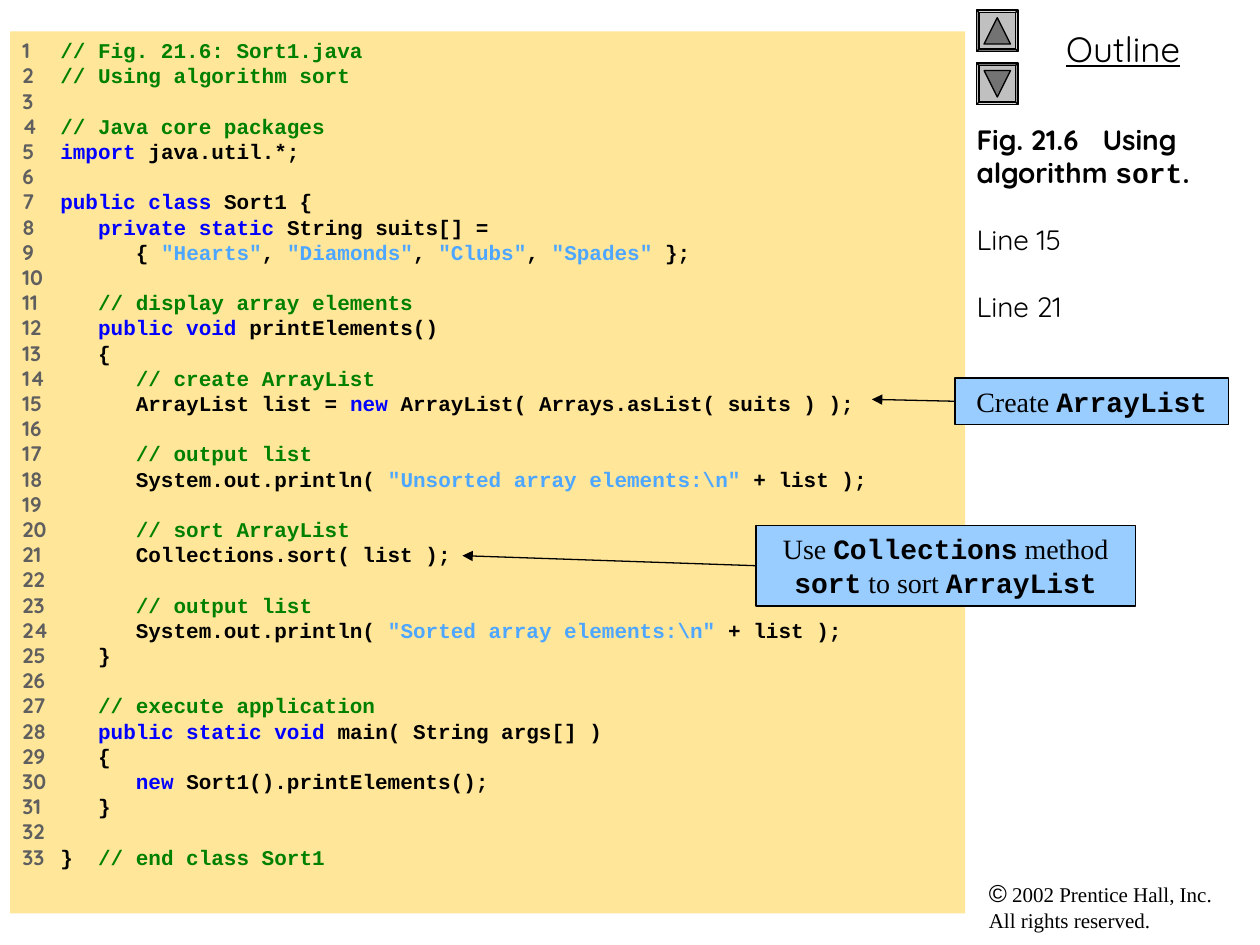
import itertools
from dataclasses import dataclass

import pptx
import pptx.dml.color
import pptx.enum.shapes
import pptx.enum.text
import pptx.oxml
import pptx.oxml.ns
import pptx.util
from pptx.util import Inches

SHAPES = pptx.enum.shapes.MSO_SHAPE
ALIGN = pptx.enum.text.PP_ALIGN


@dataclass(frozen=True)
class Theme:
    sans: str = "Quicksand"
    serif: str = "Times New Roman"
    mono: str = "Courier New"
    symbol: str = "Arial"
    ink: str = "000000"
    number: str = "5F5F5F"
    comment: str = "008000"
    keyword: str = "0000FF"
    string: str = "4DA6FF"
    code_panel: str = "FFE699"
    callout: str = "99CCFF"
    button: str = "C0C0C0"
    button_arrow: str = "737373"
    heading_size: float = 20
    body_size: float = 16
    code_size: float = 12
    small_size: float = 12
    symbol_size: float = 14
    line_width: float = 0.75


THEME = Theme()
KEYWORDS = {"import", "public", "private", "static", "void", "class", "new"}
SOURCE = r"""// Fig. 21.6: Sort1.java
// Using algorithm sort

// Java core packages
import java.util.*;

public class Sort1 {
   private static String suits[] =
      { "Hearts", "Diamonds", "Clubs", "Spades" };

   // display array elements
   public void printElements()
   {
      // create ArrayList
      ArrayList list = new ArrayList( Arrays.asList( suits ) );

      // output list
      System.out.println( "Unsorted array elements:\n" + list );

      // sort ArrayList
      Collections.sort( list );

      // output list
      System.out.println( "Sorted array elements:\n" + list );
   }

   // execute application
   public static void main( String args[] )
   {
      new Sort1().printElements();
   }

}  // end class Sort1"""


def rgb(value):
    return pptx.dml.color.RGBColor.from_string(value)


def add_run(paragraph, text, face, size, color=THEME.ink, **styles):
    run = paragraph.add_run()
    run.text = text
    run.font.color.rgb = rgb(color)
    formats = {"name": face, "size": pptx.util.Pt(size), **styles}
    for attribute, value in formats.items():
        setattr(run.font, attribute, value)


def add_tab_stop(paragraph, position):
    properties = paragraph._p.get_or_add_pPr()
    stops = pptx.oxml.parse_xml(f"<a:tabLst {pptx.oxml.ns.nsdecls('a')}/>")
    stop = stops.makeelement(pptx.oxml.ns.qn("a:tab"), {"pos": str(position), "algn": "l"})
    stops.append(stop)
    properties.append(stops)


def prepare_frame(shape, left_inset=0.1):
    frame = shape.text_frame
    formats = {
        "word_wrap": True,
        "margin_left": Inches(left_inset),
        "margin_right": Inches(0.1),
        "margin_top": Inches(0.05),
        "margin_bottom": Inches(0.05),
        "vertical_anchor": pptx.enum.text.MSO_ANCHOR.TOP,
    }
    for attribute, value in formats.items():
        setattr(frame, attribute, value)
    return frame


def add_text(slide, left, top, width, height, left_inset=0.1):
    box = slide.shapes.add_textbox(Inches(left), Inches(top), Inches(width), Inches(height))
    return prepare_frame(box, left_inset)


def add_filled(slide, preset, left, top, width, height, fill, outlined=True, rotation=0):
    shape = slide.shapes.add_shape(
        preset, Inches(left), Inches(top), Inches(width), Inches(height))
    shape.shadow.inherit = False
    shape.rotation = rotation
    shape.fill.solid()
    shape.fill.fore_color.rgb = rgb(fill)
    if outlined:
        shape.line.color.rgb = rgb(THEME.ink)
        shape.line.width = pptx.util.Pt(THEME.line_width)
    else:
        shape.line.fill.background()
    return shape


def add_button(slide, top, arrow_top, bevel_rotation, arrow_rotation):
    bevel = add_filled(slide, SHAPES.BEVEL, 7.75, top, 0.33, 0.33,
                       THEME.button, rotation=bevel_rotation)
    bevel.adjustments[0] = 0.06
    add_filled(slide, SHAPES.ISOSCELES_TRIANGLE, 7.81, arrow_top, 0.21, 0.21,
               THEME.button_arrow, rotation=arrow_rotation)


def highlight(line):
    """Yield (text, colour) for each stretch of a Java line."""
    code, slashes, comment = line.partition("//")
    for index, piece in enumerate(code.split('"')):
        if index % 2:
            yield f'"{piece}"', THEME.string
            continue
        words = piece.split(" ")
        spaced = [word + " " for word in words[:-1]] + words[-1:]
        for is_keyword, group in itertools.groupby(spaced, lambda word: word.strip() in KEYWORDS):
            yield "".join(group), THEME.keyword if is_keyword else THEME.ink
    yield slashes + comment, THEME.comment


def add_listing(slide):
    panel = add_filled(slide, SHAPES.RECTANGLE, 0.08, 0.25, 7.58, 7,
                       THEME.code_panel, outlined=False)
    frame = prepare_frame(panel)
    for number, line in enumerate(SOURCE.splitlines(), 1):
        paragraph = frame.paragraphs[0] if number == 1 else frame.add_paragraph()
        paragraph.alignment = ALIGN.LEFT
        add_tab_stop(paragraph, Inches(0.3))
        label = f"{number}\t" if line else str(number)
        add_run(paragraph, label, THEME.sans, THEME.code_size, THEME.number, bold=True)
        for text, color in highlight(line):
            if text:
                add_run(paragraph, text, THEME.mono, THEME.code_size, color, bold=True)


def add_callout(slide, left, top, width, height, parts, tip):
    """Add a box whose parts alternate prose and code, with an arrow to tip."""
    box = add_filled(slide, SHAPES.RECTANGLE, left, top, width, height, THEME.callout)
    paragraph = prepare_frame(box).paragraphs[0]
    paragraph.alignment = ALIGN.CENTER
    for index, text in enumerate(parts):
        is_code = index % 2 == 1
        add_run(paragraph, text, THEME.mono if is_code else THEME.serif,
                THEME.body_size, bold=is_code)

    arrow = slide.shapes.add_connector(
        pptx.enum.shapes.MSO_CONNECTOR.STRAIGHT,
        Inches(left), Inches(top + height / 2), *map(Inches, tip))
    arrow.begin_connect(box, 1)
    arrow.line.color.rgb = rgb(THEME.ink)
    arrow.line.width = pptx.util.Pt(THEME.line_width)
    namespace = pptx.oxml.ns.nsdecls("a")
    arrow.line._get_or_add_ln().append(
        pptx.oxml.parse_xml(f'<a:tailEnd {namespace} type="triangle"/>'))
    arrow._element.spPr.append(pptx.oxml.parse_xml(f"<a:effectLst {namespace}/>"))


def add_outline(slide):
    heading = add_text(slide, 7.83, 0.17, 2.17, 0.44).paragraphs[0]
    heading.alignment = ALIGN.CENTER
    add_run(heading, "Outline", THEME.sans, THEME.heading_size, underline=True)

    frame = add_text(slide, 7.75, 0.92, 2.25, 6, left_inset=0)
    caption = frame.paragraphs[0]
    add_tab_stop(caption, Inches(1))
    for text, face in (("Fig. 21.6\tUsing algorithm ", THEME.sans),
                       ("sort", THEME.mono), (".", THEME.sans)):
        add_run(caption, text, face, THEME.body_size, bold=True)
    for reference in ("Line 15", "Line 21"):
        paragraph = frame.add_paragraph()
        paragraph.space_before = pptx.util.Pt(19)
        add_run(paragraph, reference, THEME.sans, THEME.body_size)


def add_copyright(slide):
    notice = add_text(slide, 7.75, 6.92, 2.17, 0.54).paragraphs[0]
    add_run(notice, "©", THEME.symbol, THEME.symbol_size)
    add_run(notice, " 2002 Prentice Hall, Inc.", THEME.serif, THEME.small_size)
    notice.add_line_break()
    add_run(notice, "All rights reserved.", THEME.serif, THEME.small_size)


def main():
    deck = pptx.Presentation()
    deck.slide_width, deck.slide_height = Inches(10), Inches(7.5)
    slide = deck.slides.add_slide(deck.slide_layouts[6])
    add_copyright(slide)
    add_button(slide, 0.08, 0.14, bevel_rotation=90, arrow_rotation=0)
    add_button(slide, 0.5, 0.56, bevel_rotation=270, arrow_rotation=180)
    add_outline(slide)
    add_listing(slide)
    add_callout(slide, 7.58, 3, 2.17, 0.37, ("Create ", "ArrayList"), (6.92, 3.17))
    add_callout(slide, 6, 4.17, 3.01, 0.64,
                ("Use ", "Collections", " method ", "sort", " to sort ", "ArrayList"),
                (3.67, 4.41))
    deck.save("out.pptx")


if __name__ == "__main__":
    main()
